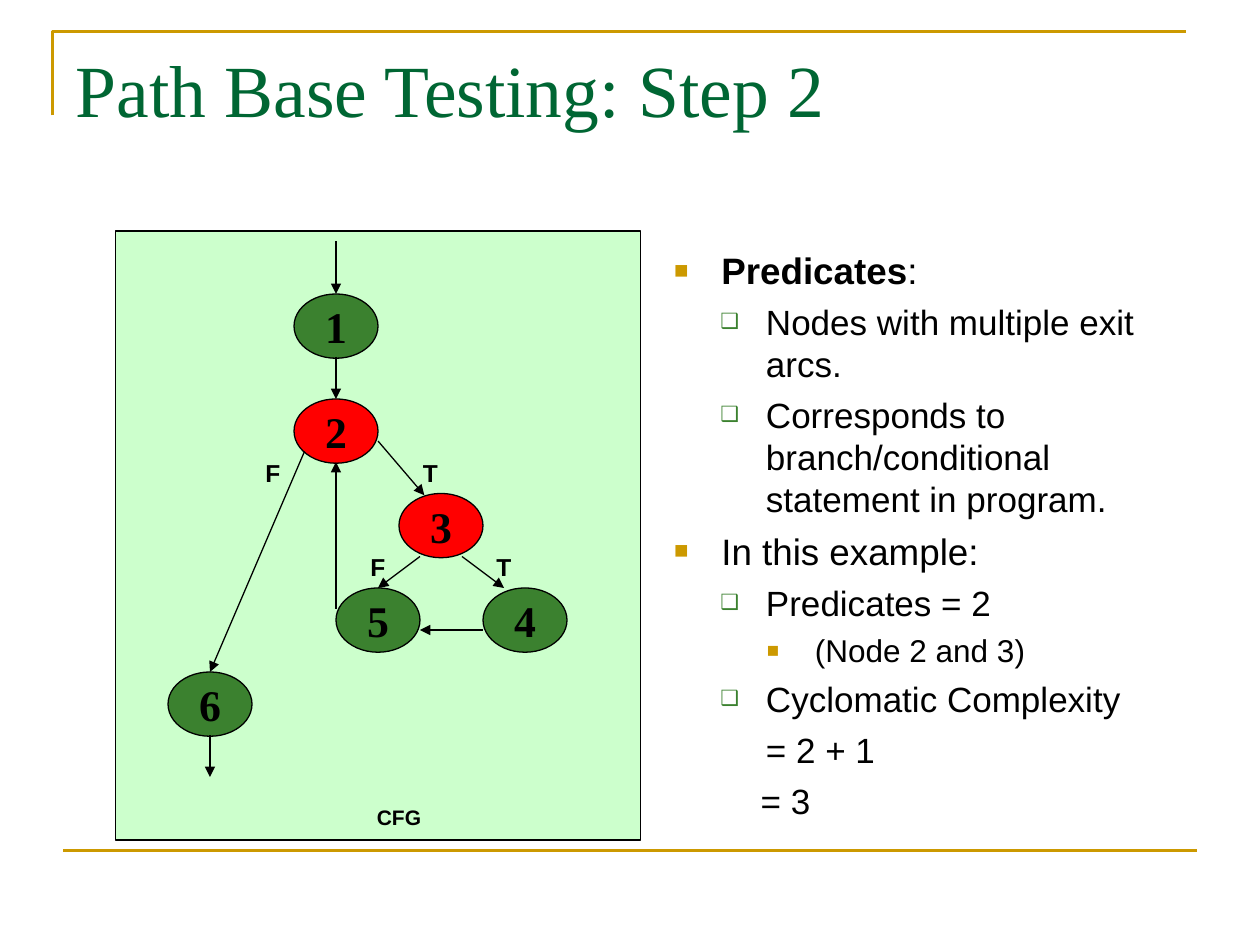
"""Build the slide on path base testing, with a control flow graph and its predicates."""
from dataclasses import dataclass

from lxml import etree
from pptx import Presentation
from pptx.dml.color import RGBColor
from pptx.enum.shapes import MSO_CONNECTOR, MSO_SHAPE
from pptx.enum.text import MSO_ANCHOR, MSO_AUTO_SIZE, PP_ALIGN
from pptx.oxml.ns import qn
from pptx.util import Pt

STRAIGHT = MSO_CONNECTOR.STRAIGHT
RECTANGLE, OVAL = MSO_SHAPE.RECTANGLE, MSO_SHAPE.OVAL
TOP, MIDDLE = MSO_ANCHOR.TOP, MSO_ANCHOR.MIDDLE
LEFT, CENTER = PP_ALIGN.LEFT, PP_ALIGN.CENTER
NO_AUTOFIT = MSO_AUTO_SIZE.NONE

BLACK, GOLD, GREEN, RED = "000000", "CC9900", "3B812F", "FF0000"
TITLE_GREEN, PANEL_GREEN = "006633", "CCFFCC"
SANS, SERIF = "Arial", "Times New Roman"
NODE_WIDTH, NODE_HEIGHT = 48, 36.75


@dataclass
class Node:
    text: str
    left: float
    top: float
    fill: str = GREEN


@dataclass
class Line:
    x1: float
    y1: float
    x2: float
    y2: float


@dataclass
class Label:
    text: str
    left: float
    top: float
    width: float = 36
    height: float = 24.5
    size: float = 14


@dataclass
class ListStyle:
    level: int
    margin: float
    indent: float
    size: float
    space_before: float
    bullet: str = ""
    color: str = GOLD
    bullet_percent: int = 65


@dataclass
class Item:
    style: ListStyle
    text: str
    bold_text: str = ""


MAIN = ListStyle(0, 27, -27, 21, 5.2, "■")
SUB = ListStyle(1, 52.5, -26, 20, 5, "❑", GREEN, 60)
DETAIL = ListStyle(2, 80.5, -27.5, 18, 4.5, "■")
SUM = ListStyle(1, 52.5, 0, 20, 5)
RESULT = ListStyle(1, 49.5, 0, 20, 5)

NODES = [
    Node("1", 168, 168),
    Node("2", 168, 228, RED),
    Node("3", 228, 282, RED),
    Node("4", 276, 336),
    Node("5", 192, 336),
    Node("6", 96, 384),
]
ARROWS = [
    Line(192, 138, 192, 168),
    Line(192, 204, 192, 228),
    Line(216, 252, 242.5, 283),
    Line(240, 318, 216, 336),
    Line(264, 318, 288, 336),
    Line(174, 258, 120, 384),
    Line(120, 420, 120, 444),
    Line(276, 360, 240, 360),
    Line(192, 348, 192, 264),
]
LABELS = [
    Label("T", 228, 258),
    Label("F", 138, 258),
    Label("T", 270, 312),
    Label("F", 198, 312),
    Label("CFG", 204, 456, 48, 21.5, 12),
]
ITEMS = [
    Item(MAIN, ":", "Predicates"),
    Item(SUB, "Nodes with multiple exit arcs."),
    Item(SUB, "Corresponds to branch/conditional statement in program."),
    Item(MAIN, "In this example:"),
    Item(SUB, "Predicates = 2"),
    Item(DETAIL, "(Node 2 and 3)"),
    Item(SUB, "Cyclomatic Complexity"),
    Item(SUM, "= 2 + 1"),
    Item(RESULT, "= 3"),
]


def rgb(color: str) -> RGBColor:
    """Turn a hex string into a colour."""
    return RGBColor.from_string(color)


def add_run(paragraph, text: str, font: str, size: float, color: str = BLACK, bold: bool = False) -> None:
    """Append one formatted run."""
    run = paragraph.add_run()
    run.text = text
    run.font.name, run.font.size, run.font.bold = font, Pt(size), bold
    run.font.color.rgb = rgb(color)


def set_line(shape, color: str, width: float) -> None:
    """Set the colour and width of an outline."""
    shape.line.color.rgb = rgb(color)
    shape.line.width = Pt(width)


def add_filled_shape(slide, kind, box: tuple, fill: str, line_width: float):
    """Add a filled preset shape with a black outline."""
    shape = slide.shapes.add_shape(kind, *map(Pt, box))
    shape.shadow.inherit = False
    shape.fill.solid()
    shape.fill.fore_color.rgb = rgb(fill)
    set_line(shape, BLACK, line_width)
    return shape


def add_node(slide, node: Node) -> None:
    """Add one numbered graph node."""
    shape = add_filled_shape(slide, OVAL, (node.left, node.top, NODE_WIDTH, NODE_HEIGHT), node.fill, 0.75)
    frame = shape.text_frame
    frame.word_wrap, frame.vertical_anchor = False, MIDDLE
    paragraph = frame.paragraphs[0]
    paragraph.alignment = CENTER
    add_run(paragraph, node.text, SERIF, 25, bold=True)


def add_line(slide, line: Line, color: str = BLACK, width: float = 0.75, arrow: bool = True) -> None:
    """Add a straight line, with an arrowhead at its end if wanted."""
    ends = map(Pt, (line.x1, line.y1, line.x2, line.y2))
    connector = slide.shapes.add_connector(STRAIGHT, *ends)
    set_line(connector, color, width)
    properties = connector._element.spPr
    if arrow:
        etree.SubElement(properties.find(qn("a:ln")), qn("a:tailEnd"), type="triangle")
    etree.SubElement(properties, qn("a:effectLst"))


def add_label(slide, label: Label) -> None:
    """Add a small bold label."""
    box = map(Pt, (label.left, label.top, label.width, label.height))
    frame = slide.shapes.add_textbox(*box).text_frame
    frame.word_wrap = True
    paragraph = frame.paragraphs[0]
    paragraph.alignment = CENTER
    add_run(paragraph, label.text, SANS, label.size, bold=True)


def place(shape, left: float, top: float, width: float, height: float):
    """Move a placeholder and return its text frame."""
    shape.left, shape.top, shape.width, shape.height = map(Pt, (left, top, width, height))
    frame = shape.text_frame
    frame.word_wrap, frame.auto_size, frame.vertical_anchor = True, NO_AUTOFIT, TOP
    return frame


def set_bullet(paragraph, style: ListStyle) -> None:
    """Set the indents and the bullet of a list paragraph."""
    properties = paragraph._p.get_or_add_pPr()
    properties.set("marL", str(Pt(style.margin)))
    properties.set("indent", str(Pt(style.indent)))
    if not style.bullet:
        etree.SubElement(properties, qn("a:buNone"))
        return
    color = etree.SubElement(properties, qn("a:buClr"))
    etree.SubElement(color, qn("a:srgbClr"), val=style.color)
    etree.SubElement(properties, qn("a:buSzPct"), val=str(style.bullet_percent * 1000))
    etree.SubElement(properties, qn("a:buFont"), typeface=SANS)
    etree.SubElement(properties, qn("a:buChar"), char=style.bullet)


def fill_list(frame, items: list[Item]) -> None:
    """Write the bulleted list."""
    for index, item in enumerate(items):
        paragraph = frame.add_paragraph() if index else frame.paragraphs[0]
        style = item.style
        paragraph.level = style.level
        set_bullet(paragraph, style)
        paragraph.space_before = Pt(style.space_before if index else 0)
        if item.bold_text:
            add_run(paragraph, item.bold_text, SANS, style.size, bold=True)
        add_run(paragraph, item.text, SANS, style.size)


def main() -> None:
    """Build and save the slide."""
    presentation = Presentation()
    presentation.slide_width, presentation.slide_height = Pt(720), Pt(540)
    slide = presentation.slides.add_slide(presentation.slide_layouts[1])
    builder = slide.shapes.build_freeform(30, 66, scale=Pt(1))
    builder.add_line_segments([(30, 18), (678, 18)], close=False)
    corner = builder.convert_to_shape()
    corner.shadow.inherit = False
    corner.fill.background()
    set_line(corner, GOLD, 1.5)
    add_line(slide, Line(36, 486, 684, 486), GOLD, 1.5, arrow=False)
    title = place(slide.shapes.title, 36, 21.6, 648, 90).paragraphs[0]
    title.alignment = LEFT
    add_run(title, "Path Base Testing: Step 2", SERIF, 42, TITLE_GREEN)
    add_filled_shape(slide, RECTANGLE, (66, 132, 300, 348), PANEL_GREEN, 1)
    for node in NODES:
        add_node(slide, node)
    for arrow in ARROWS:
        add_line(slide, arrow)
    for label in LABELS:
        add_label(slide, label)
    fill_list(place(slide.placeholders[1], 378, 138, 312, 342), ITEMS)
    presentation.save("out.pptx")


if __name__ == "__main__":
    main()
